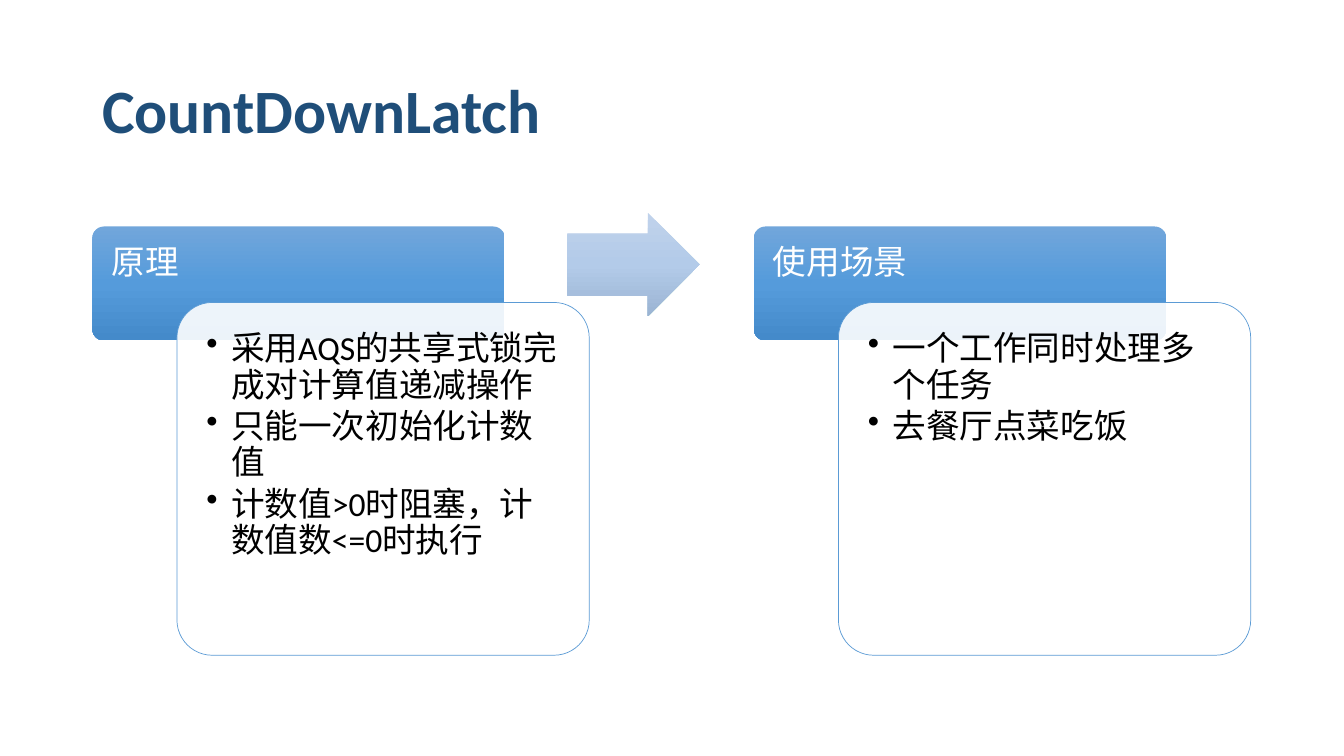
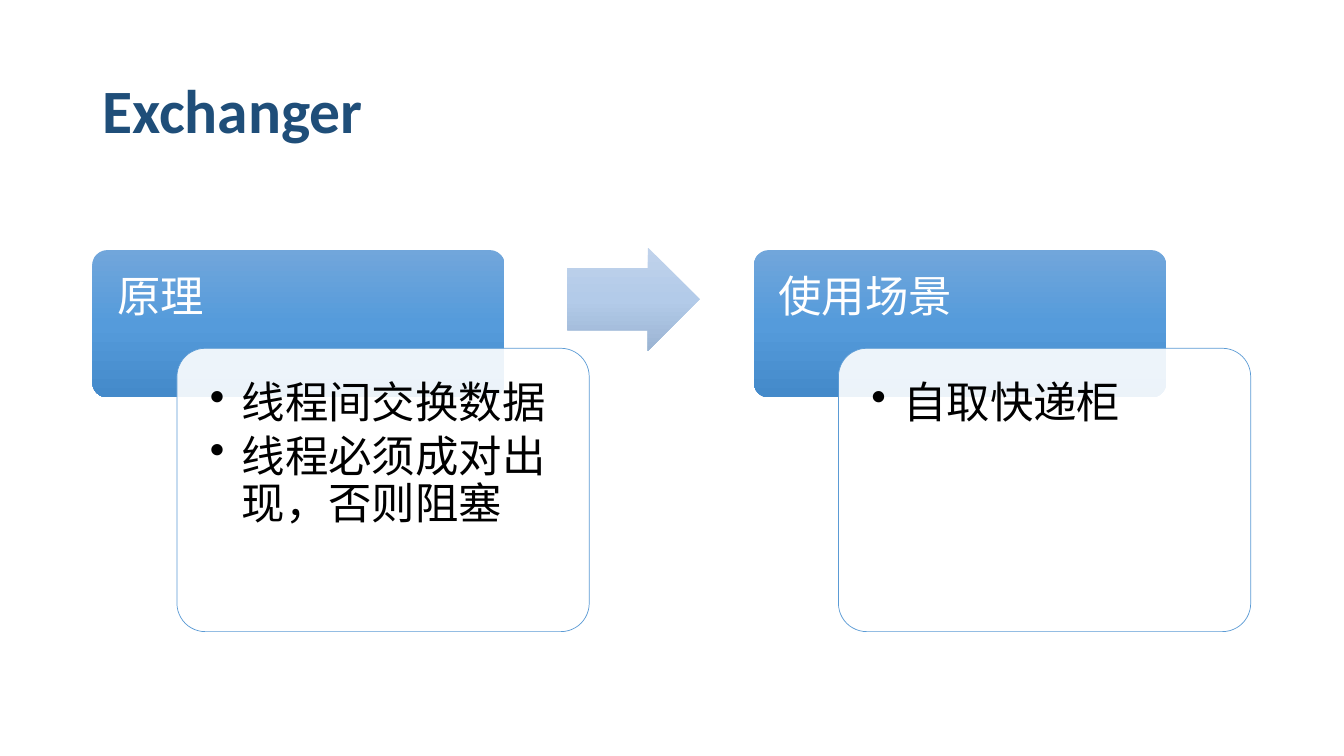
from copy import deepcopy
from dataclasses import dataclass

from lxml import etree
from pptx import Presentation
from pptx.dml.color import RGBColor
from pptx.enum.shapes import MSO_SHAPE
from pptx.enum.text import MSO_ANCHOR
from pptx.oxml.ns import qn
from pptx.util import Cm, Pt

ROUNDED = MSO_SHAPE.ROUNDED_RECTANGLE
ARROW = MSO_SHAPE.RIGHT_ARROW
TOP, MIDDLE = MSO_ANCHOR.TOP, MSO_ANCHOR.MIDDLE
BLANK_LAYOUT = 6


@dataclass(frozen=True)
class Theme:
    font: str = "Calibri"
    title_size: float = 44
    title_color: str = "1F4E79"
    header_text: str = "FFFFFF"
    panel_text: str = "000000"
    panel_fill: str = "FFFFFF"
    panel_opacity: int = 90
    panel_line: str = "5B9BD5"
    header_gradient: tuple = ("71A6DB", "559BDB", "448ACA")
    arrow_gradient: tuple = ("C0D2EB", "B3CBE9", "9BB4D3")


# Lengths in centimetres
LEFT = 2.33
CARD_WIDTH = 10.39
CARD_PITCH = 16.67
PANEL_SHIFT = 2.13
CENTER_Y = 11.11
VISIBLE_HEADER = 2 / 3
ARROW_LEFT, ARROW_WIDTH, ARROW_HEIGHT = 14.3, 3.33, 2.6
CORNER = 0.1
CORNER_INSET = 0.29 * CORNER  # text inset caused by a rounded corner, per height
INSET_PER_POINT = 0.02
INDENT_PER_POINT = 0.026


def write(shape, lines, *, size, color, font, bold=False, anchor=TOP,
          inset=(0.25, 0.13, 0.25, 0.13), space=0, indent=0):
    """Fill a shape with one paragraph per line; a positive indent adds bullets."""
    frame = shape.text_frame
    frame.word_wrap = True
    frame.vertical_anchor = anchor
    (frame.margin_left, frame.margin_top,
     frame.margin_right, frame.margin_bottom) = map(Cm, inset)
    for index, line in enumerate(lines):
        para = frame.add_paragraph() if index else frame.paragraphs[0]
        para.line_spacing = 0.9
        para.space_after = Pt(size * space)
        properties = para._p.get_or_add_pPr()
        properties.set("algn", "l")
        if indent:
            properties.set("marL", str(Cm(indent)))
            properties.set("indent", str(-Cm(indent)))
            etree.SubElement(properties, qn("a:buChar")).set("char", "•")
        span = para.add_run()
        span.text = line
        span.font.name = font
        span.font.size = Pt(size)
        span.font.bold = bold
        span.font.color.rgb = RGBColor.from_string(color)


def fill_gradient(shape, colors):
    """Paint evenly spaced colours from top to bottom."""
    shape.fill.gradient()
    shape.fill.gradient_angle = 270
    stop_list = shape._element.spPr.find(qn("a:gradFill")).find(qn("a:gsLst"))
    while len(stop_list) < len(colors):
        stop_list.append(deepcopy(stop_list[-1]))
    for index, (stop, color) in enumerate(zip(shape.fill.gradient_stops, colors)):
        stop.position = index / (len(colors) - 1)
        stop.color.rgb = RGBColor.from_string(color)


class Painter:
    def __init__(self, deck, theme):
        self.deck, self.theme = deck, theme
        self.page = None

    def new_page(self, title):
        self.page = self.deck.slides.add_slide(self.deck.slide_layouts[BLANK_LAYOUT])
        box = self.page.shapes.add_textbox(Cm(LEFT), Cm(1.01), Cm(29.21), Cm(3.68))
        write(box, [title], size=self.theme.title_size, color=self.theme.title_color,
              font=self.theme.font, bold=True, anchor=MIDDLE)

    def shape(self, kind, left, top, width, height, *adjustments):
        shape = self.page.shapes.add_shape(kind, Cm(left), Cm(top), Cm(width), Cm(height))
        shape.shadow.inherit = False
        shape.line.fill.background()
        for index, value in enumerate(adjustments):
            shape.adjustments[index] = value
        return shape

    def header(self, text, left, top, height, size):
        box = self.shape(ROUNDED, left, top, CARD_WIDTH, height, CORNER)
        fill_gradient(box, self.theme.header_gradient)
        inset = size * INSET_PER_POINT - height * CORNER_INSET
        write(box, [text], size=size, color=self.theme.header_text,
              font=self.theme.font, inset=(inset,) * 4)

    def panel(self, points, left, top, height, size):
        box = self.shape(ROUNDED, left, top, CARD_WIDTH, height, CORNER)
        box.fill.solid()
        box.fill.fore_color.rgb = RGBColor.from_string(self.theme.panel_fill)
        color = box._element.spPr.find(qn("a:solidFill"))[0]
        etree.SubElement(color, qn("a:alpha")).set("val", str(self.theme.panel_opacity * 1000))
        box.line.color.rgb = RGBColor.from_string(self.theme.panel_line)
        box.line.width = Pt(0.5)
        write(box, points, size=size, color=self.theme.panel_text, font=self.theme.font,
              inset=(size * INSET_PER_POINT,) * 4, space=0.15,
              indent=size * INDENT_PER_POINT)

    def arrow(self, center_y):
        arrow = self.shape(ARROW, ARROW_LEFT, center_y - ARROW_HEIGHT / 2,
                           ARROW_WIDTH, ARROW_HEIGHT, 0.6, 0.5)
        fill_gradient(arrow, self.theme.arrow_gradient)

    def process(self, cards, size, header_height, panel_height):
        """Draw cards from left to right, with an arrow after the first."""
        visible = header_height * VISIBLE_HEADER
        top = CENTER_Y - (visible + panel_height) / 2
        for index, (heading, points) in enumerate(cards.items()):
            left = LEFT + index * CARD_PITCH
            if index:
                self.arrow(top + visible / 2)
            self.header(heading, left, top, header_height, size)
            self.panel(points, left + PANEL_SHIFT, top + visible, panel_height, size)


def main():
    deck = Presentation()
    deck.slide_width, deck.slide_height = Cm(33.87), Cm(19.05)
    painter = Painter(deck, Theme())

    painter.new_page("CountDownLatch")
    painter.process({
        "原理": ["采用AQS的共享式锁完成对计算值递减操作",
               "只能一次初始化计数值",
               "计数值>0时阻塞，计数值数<=0时执行"],
        "使用场景": ["一个工作同时处理多个任务", "去餐厅点菜吃饭"],
    }, size=24, header_height=2.87, panel_height=8.89)

    painter.new_page("Exchanger")
    painter.process({
        "原理": ["线程间交换数据", "线程必须成对出现，否则阻塞"],
        "使用场景": ["自取快递柜"],
    }, size=31, header_height=3.71, panel_height=7.14)

    deck.save("out.pptx")


if __name__ == "__main__":
    main()
